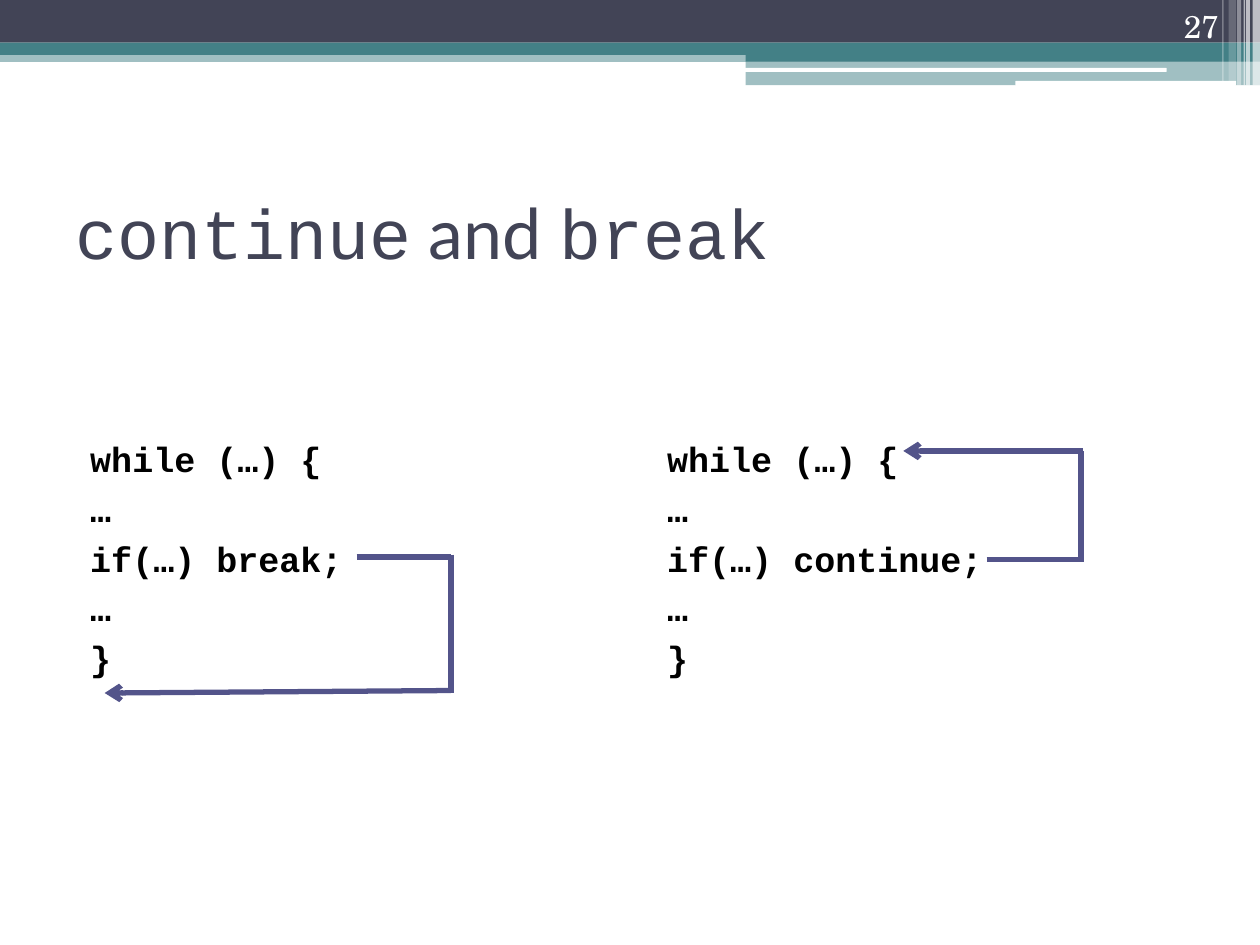
"""Build the slide that compares the jumps made by continue and break."""
import pptx
import pptx.dml.color
import pptx.enum.shapes
import pptx.enum.text
import pptx.oxml
import pptx.oxml.ns
import pptx.util
from pptx.util import Cm

RGBColor = pptx.dml.color.RGBColor
WHITE = RGBColor(0xFF, 0xFF, 0xFF)
BLACK = RGBColor(0x00, 0x00, 0x00)
SLATE = RGBColor(0x42, 0x44, 0x56)
TEAL = RGBColor(0x43, 0x80, 0x86)
INDIGO = RGBColor(0x53, 0x54, 0x8A)

SHAPE = pptx.enum.shapes.MSO_SHAPE
ANCHOR = pptx.enum.text.MSO_ANCHOR
ALIGN = pptx.enum.text.PP_ALIGN
MONO = "Courier New"


def add_span(para, text, font=MONO, size=20, color=BLACK, bold=False):
    span = para.add_run()
    span.text = text
    span.font.name = font
    span.font.size = pptx.util.Pt(size)
    span.font.color.rgb = color
    span.font.bold = bold


def add_box(page, left, top, width, height, anchor=ANCHOR.TOP):
    box = page.shapes.add_textbox(Cm(left), Cm(top), Cm(width), Cm(height))
    box.text_frame.word_wrap = True
    box.text_frame.vertical_anchor = anchor
    return box.text_frame


deck = pptx.Presentation()
deck.slide_width = Cm(25.4)
deck.slide_height = Cm(19.05)
page = deck.slides.add_slide(deck.slide_layouts[6])

bands = [
    (SHAPE.RECTANGLE, 0, 1.02, 25.4, 0.23, TEAL, 50),
    (SHAPE.RECTANGLE, 0, 0, 25.4, 0.86, SLATE, 100),
    (SHAPE.RECTANGLE, 0, 0.86, 25.4, 0.25, TEAL, 100),
    (SHAPE.RECTANGLE, 15.03, 0.99, 10.37, 0.25, TEAL, 100),
    (SHAPE.RECTANGLE, 15.03, 1.23, 10.37, 0.49, TEAL, 50),
    (SHAPE.ROUNDED_RECTANGLE, 15.01, 1.37, 8.51, 0.08, WHITE, 100),
    (SHAPE.ROUNDED_RECTANGLE, 20.47, 1.63, 4.45, 0.1, WHITE, 100),
]
stripes = [
    (25.25, 0.15, 1.73, 65),
    (25.12, 0.08, 1.73, 65),
    (25.07, 0.03, 1.73, 60),
    (24.94, 0.08, 1.73, 40),
    (24.77, 0.15, 1.63, 20),
    (24.64, 0.03, 1.63, 30),
]
for left, width, height, opacity in stripes:
    bands.append((SHAPE.RECTANGLE, left, 0, width, height, WHITE, opacity))

for preset, left, top, width, height, color, opacity in bands:
    band = page.shapes.add_shape(preset, Cm(left), Cm(top), Cm(width), Cm(height))
    band.shadow.inherit = False
    band.line.fill.background()
    band.fill.solid()
    band.fill.fore_color.rgb = color
    if opacity < 100:
        tint = band.fill._xPr.find(".//" + pptx.oxml.ns.qn("a:srgbClr"))
        pptx.oxml.ns.qn("a:alpha")
        alpha = tint.makeelement(pptx.oxml.ns.qn("a:alpha"), {"val": str(opacity * 1000)})
        tint.append(alpha)

title = add_box(page, 1.27, 3.18, 22.86, 2.97, ANCHOR.MIDDLE).paragraphs[0]
for text, font in [("continue", MONO), (" and ", "Lato"), ("break", MONO)]:
    add_span(title, text, font=font, size=40, color=SLATE)

for left, keyword in [(1.27, "break"), (12.9, "continue")]:
    code = add_box(page, left, 8.69, 11.23, 10.13)
    for index, text in enumerate(["while (…) {", "…", f"if(…) {keyword};", "…", "}"]):
        para = code.add_paragraph() if index else code.paragraphs[0]
        para.space_before = pptx.util.Pt(3)
        para.space_after = pptx.util.Pt(1.5)
        para._p.get_or_add_pPr().set("marL", str(Cm(0.3)))
        add_span(para, text, bold=True)

number = add_box(page, 22.71, 0, 2.11, 1.02, ANCHOR.BOTTOM).paragraphs[0]
number.alignment = ALIGN.RIGHT
add_span(number, "27", font="TeX Gyre Schola", size=18, color=WHITE)

jumps = [
    (7.19, 11.23, 9.09, 11.23, False),
    (9.09, 11.18, 9.09, 13.97, False),
    (2.11, 13.97, 9.09, 13.92, True),
    (19.89, 11.28, 21.79, 11.28, False),
    (21.79, 9.09, 21.79, 11.33, False),
    (18.21, 9.09, 21.84, 9.09, True),
]
for left, top, right, bottom, has_arrow in jumps:
    jump = page.shapes.add_connector(
        pptx.enum.shapes.MSO_CONNECTOR.STRAIGHT, Cm(left), Cm(top), Cm(right), Cm(bottom)
    )
    jump.line.color.rgb = INDIGO
    jump.line.width = pptx.util.Pt(3)
    if has_arrow:
        line = jump.line._get_or_add_ln()
        line.append(line.makeelement(pptx.oxml.ns.qn("a:headEnd"), {"type": "arrow"}))
    properties = jump._element.spPr
    properties.append(properties.makeelement(pptx.oxml.ns.qn("a:effectLst"), {}))

deck.save("out.pptx")
